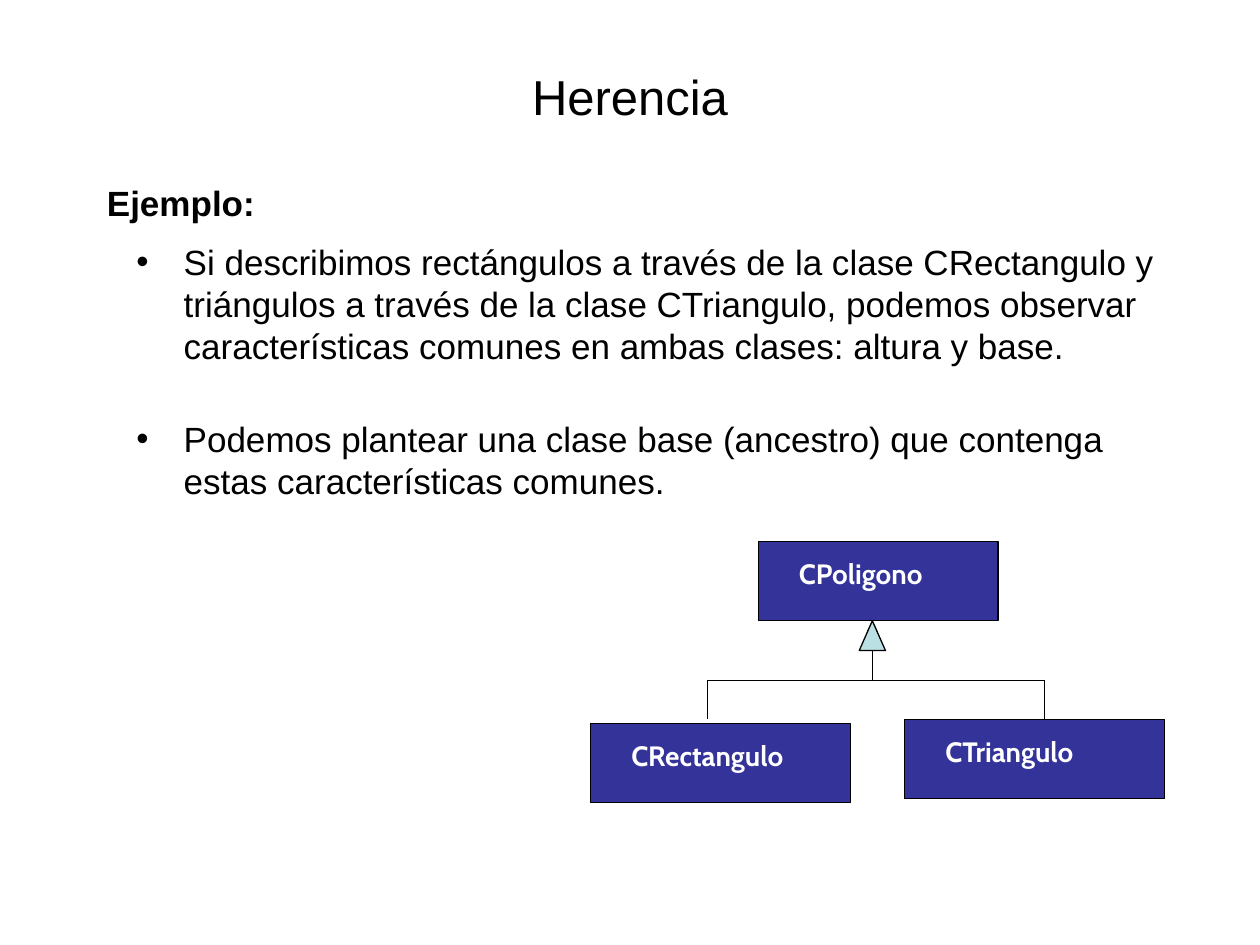
"""Build the "Herencia" slide with its class inheritance diagram."""
from lxml import etree
from pptx import Presentation
from pptx.dml.color import RGBColor
from pptx.enum.shapes import MSO_CONNECTOR, MSO_SHAPE as SHAPE
from pptx.enum.text import MSO_ANCHOR as ANCHOR, MSO_AUTO_SIZE as AUTO, PP_ALIGN
from pptx.oxml.ns import qn
from pptx.util import Pt

BLACK = RGBColor(0x00, 0x00, 0x00)
WHITE = RGBColor(0xFF, 0xFF, 0xFF)
INDIGO = RGBColor(0x33, 0x33, 0x99)
PALE_TEAL = RGBColor(0xBB, 0xE0, 0xE3)

BULLETS = [
    ("Si describimos rectángulos a través de la clase CRectangulo y triángulos a través "
     "de la clase CTriangulo, podemos observar características comunes en ambas clases: "
     "altura y base.", 5),
    ("Podemos plantear una clase base (ancestro) que contenga estas características "
     "comunes.", 29),
]
CLASSES = [
    ("CRectangulo", 337.5, 413.5, 148.5),
    ("CPoligono", 433.25, 309.5, 137),
    ("CTriangulo", 517, 411, 148.5),
]
ARROW_X, LEFT_X, RIGHT_X = 498.5, 404.5, 597
TIP_Y, BAR_Y, FOOT_Y = 354.75, 388.75, 411
LINES = [
    (ARROW_X, BAR_Y, ARROW_X, TIP_Y),
    (LEFT_X, BAR_Y, RIGHT_X, BAR_Y),
    (LEFT_X, BAR_Y, LEFT_X, FOOT_Y),
    (RIGHT_X, BAR_Y, RIGHT_X, FOOT_Y),
]


def style(p, name, size, color, bold=False):
    for r in p.runs:
        f = r.font
        f.name, f.size, f.bold = name, Pt(size), bold
        f.color.rgb = color


def add_box(s, kind, x, y, w, h, fill):
    sp = s.shapes.add_shape(kind, Pt(x), Pt(y), Pt(w), Pt(h))
    sp.shadow.inherit = False
    sp.fill.solid()
    sp.fill.fore_color.rgb = fill
    sp.line.color.rgb = BLACK
    sp.line.width = Pt(0.75)
    return sp


prs = Presentation()
prs.slide_width, prs.slide_height = Pt(720), Pt(540)
s = prs.slides.add_slide(prs.slide_layouts[1])

title = s.shapes.title
title.left, title.top, title.width, title.height = Pt(36), Pt(21.5), Pt(648), Pt(67)
tf = title.text_frame
tf.text = "Herencia"
tf.auto_size = AUTO.NONE
tf.vertical_anchor = ANCHOR.MIDDLE
tf.paragraphs[0].alignment = PP_ALIGN.CENTER
style(tf.paragraphs[0], "Arial", 28, BLACK)

body = s.placeholders[1]
body.left, body.top, body.width, body.height = Pt(70.75), Pt(134), Pt(612), Pt(175.5)
body.fill.solid()
body.fill.fore_color.rgb = WHITE
tf = body.text_frame
tf.text = "\n".join(text for text, gap in BULLETS)
tf.auto_size = AUTO.NONE
for p, (text, gap) in zip(tf.paragraphs, BULLETS):
    p.space_before = Pt(gap)
    p.line_spacing = Pt(24)
    style(p, "Arial", 20, BLACK)
    pPr = p._p.get_or_add_pPr()
    pPr.set("marL", str(Pt(27)))
    pPr.set("indent", str(Pt(-27)))
    clr = etree.SubElement(pPr, qn("a:buClr"))
    etree.SubElement(clr, qn("a:srgbClr"), val=str(BLACK))
    etree.SubElement(pPr, qn("a:buFont"), typeface="Arial")
    etree.SubElement(pPr, qn("a:buChar"), char="•")

for name, x, y, w in CLASSES:
    sp = add_box(s, SHAPE.RECTANGLE, x, y, w, 45.25, INDIGO)
    tf = sp.text_frame
    tf.text = name
    tf.vertical_anchor = ANCHOR.TOP
    tf.margin_left, tf.margin_top = Pt(23.25), Pt(8.5)
    tf.paragraphs[0].alignment = PP_ALIGN.LEFT
    style(tf.paragraphs[0], "Cabin", 16, WHITE, True)

for i, ends in enumerate(LINES):
    line = s.shapes.add_connector(MSO_CONNECTOR.STRAIGHT, *map(Pt, ends))
    line.line.color.rgb = BLACK
    line.line.width = Pt(0.75)
    if i == 0:
        etree.SubElement(line.line._get_or_add_ln(), qn("a:tailEnd"), type="triangle")
    etree.SubElement(line._element.spPr, qn("a:effectLst"))

add_box(s, SHAPE.ISOSCELES_TRIANGLE, ARROW_X - 7.5, TIP_Y, 15, 17, PALE_TEAL)

tb = s.shapes.add_textbox(Pt(54), Pt(100), Pt(104), Pt(31.5))
tf = tb.text_frame
tf.text = "Ejemplo:"
tf.word_wrap = True
tf.auto_size = AUTO.NONE
style(tf.paragraphs[0], "Arial", 20, BLACK, True)

prs.save("out.pptx")
